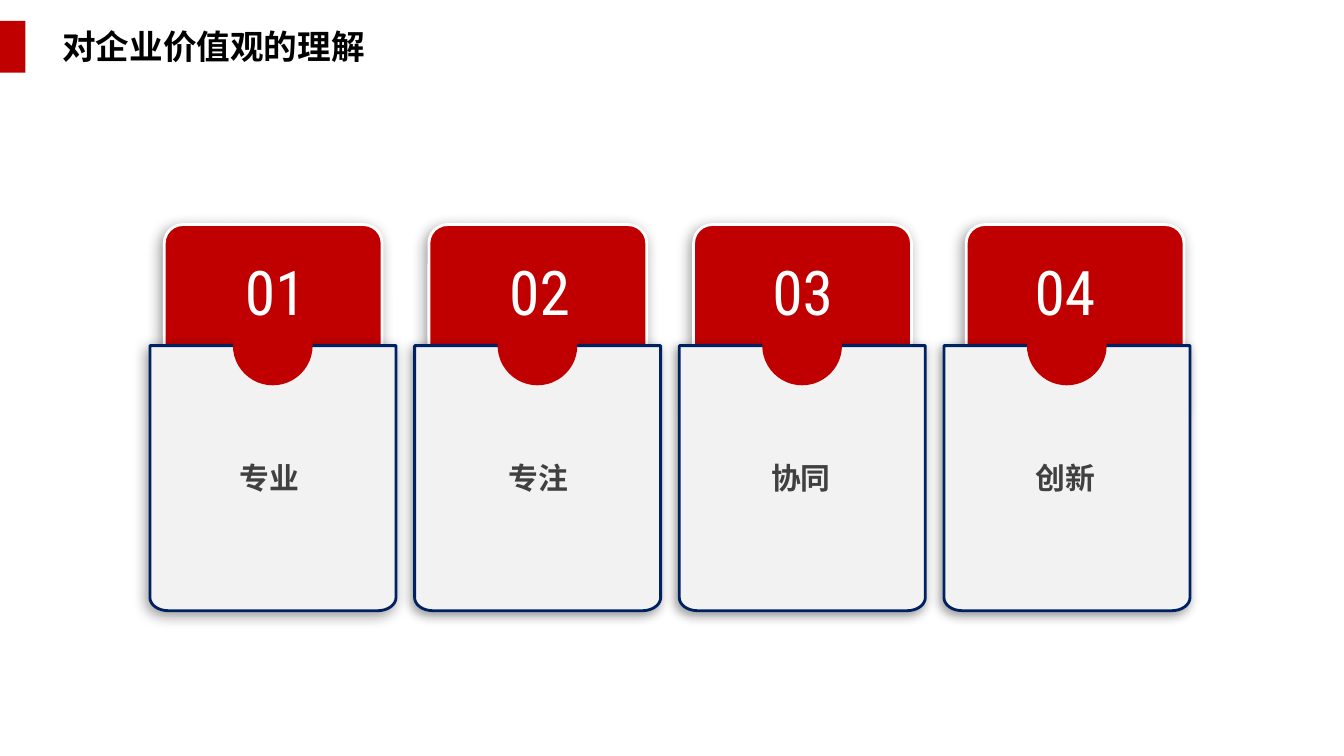
from dataclasses import dataclass
from math import cos, pi, sin

from lxml.etree import SubElement
from pptx import Presentation
from pptx.dml.color import RGBColor
from pptx.enum.shapes import MSO_SHAPE
from pptx.enum.text import MSO_AUTO_SIZE, PP_ALIGN
from pptx.oxml.ns import qn
from pptx.shapes.autoshape import Shape
from pptx.shapes.group import GroupShape
from pptx.util import Cm, Pt

RED, WHITE, BLACK = "C00000", "FFFFFF", "000000"
NAVY, PALE, GREY = "002161", "F2F2F2", "404040"
HAN, LATIN = "Noto Sans CJK SC", "Roboto Condensed"

LEFT, PITCH = 3.78, 6.67
TOP, WIDTH, HEIGHT = 8.71, 6.2, 6.68
ROUND_X, ROUND_Y = 0.46, 0.33
STEPS = 8


@dataclass
class Value:
    """One value; tab, num_mid and word_mid are offsets from the pocket's left."""
    num: str
    word: str
    num_mid: float
    word_mid: float
    tab: float = 0.36
    blur: int = 8


VALUES = [
    Value("01", "专业", 3.16, 3.01, blur=10),
    Value("02", "专注", 3.15, 3.11),
    Value("03", "协同", 3.11, 3.06),
    Value("04", "创新", 3.05, 3.06, tab=0.56),
]


@dataclass
class Style:
    size: float
    face: str
    color: str
    bold: bool = False
    align: PP_ALIGN = PP_ALIGN.CENTER
    wrap: bool = True


TITLE = Style(24, HAN, BLACK, True, PP_ALIGN.LEFT, False)
NUMBER = Style(44, LATIN, WHITE)
WORD = Style(21.3, HAN, GREY, True)


def rgb(code: str) -> RGBColor:
    return RGBColor.from_string(code)


def paint(shape: Shape, fill: str, line: str = "", blur: int = 0) -> None:
    """Set the fill, an optional outline and an optional soft shadow."""
    shape.fill.solid()
    shape.fill.fore_color.rgb = rgb(fill)
    if line:
        shape.line.color.rgb = rgb(line)
        shape.line.width = Pt(2)
    else:
        shape.line.fill.background()
    shape.shadow.inherit = False
    if blur:
        effects = shape.element.spPr.find(qn("a:effectLst"))
        outer = SubElement(effects, qn("a:outerShdw"), blurRad=str(Pt(blur)),
                           dist=str(Pt(3)), dir=str(135 * 60000),
                           algn="tr", rotWithShape="0")
        tint = SubElement(outer, qn("a:srgbClr"), val=BLACK)
        SubElement(tint, qn("a:alpha"), val="40000")


def add_text(shapes, text: str, style: Style, x: float, y: float,
             w: float, h: float) -> None:
    frame = shapes.add_textbox(Cm(x), Cm(y), Cm(w), Cm(h)).text_frame
    frame.word_wrap = style.wrap
    frame.auto_size = MSO_AUTO_SIZE.SHAPE_TO_FIT_TEXT
    para = frame.paragraphs[0]
    para.text = text
    para.alignment = style.align
    font = para.font
    font.size, font.bold, font.name = Pt(style.size), style.bold, style.face
    font.color.rgb = rgb(style.color)
    for props in para._p.iter(qn("a:defRPr")):
        SubElement(props, qn("a:ea"), typeface=style.face)


def add_pocket(group: GroupShape, x: float, blur: int) -> None:
    """Draw a panel with square top corners and rounded bottom corners."""
    right, base = x + WIDTH, TOP + HEIGHT
    points = [(right, TOP)]
    for mid, start in ((right - ROUND_X, 0), (x + ROUND_X, pi / 2)):
        for step in range(STEPS + 1):
            turn = start + step * pi / 2 / STEPS
            points.append((mid + ROUND_X * cos(turn),
                           base - ROUND_Y + ROUND_Y * sin(turn)))
    pen = group.shapes.build_freeform(Cm(x), Cm(TOP))
    pen.add_line_segments([(Cm(a), Cm(b)) for a, b in points], close=True)
    paint(pen.convert_to_shape(), PALE, NAVY, blur)


def add_value(slide, value: Value, x: float) -> None:
    group = slide.shapes.add_group_shape()
    shapes = group.shapes
    card = shapes.add_shape(MSO_SHAPE.ROUNDED_RECTANGLE, Cm(x + value.tab),
                            Cm(5.66), Cm(5.49), Cm(5.05))
    card.adjustments[0] = 0.093
    paint(card, RED, WHITE, 10)
    add_pocket(group, x, value.blur)
    notch = shapes.add_shape(MSO_SHAPE.OVAL, Cm(x + 2.09), Cm(7.7), Cm(2.01), Cm(2.01))
    paint(notch, RED)
    add_text(shapes, value.num, NUMBER, x + value.num_mid - 1.5, 6.27, 3, 2.13)
    add_text(shapes, value.word, WORD, x + value.word_mid - 1.87, 11.46, 3.74, 1.17)


def main() -> None:
    deck = Presentation()
    deck.slide_width, deck.slide_height = Cm(33.87), Cm(19.05)
    slide = deck.slides.add_slide(deck.slide_layouts[6])
    mark = slide.shapes.add_shape(MSO_SHAPE.RECTANGLE, 0, Cm(0.53), Cm(0.64), Cm(1.3))
    paint(mark, RED)
    add_text(slide.shapes, "对企业价值观的理解", TITLE, 1.32, 0.53, 8.2, 1.27)
    for place, value in enumerate(VALUES):
        add_value(slide, value, LEFT + place * PITCH)
    deck.save("out.pptx")


if __name__ == "__main__":
    main()
